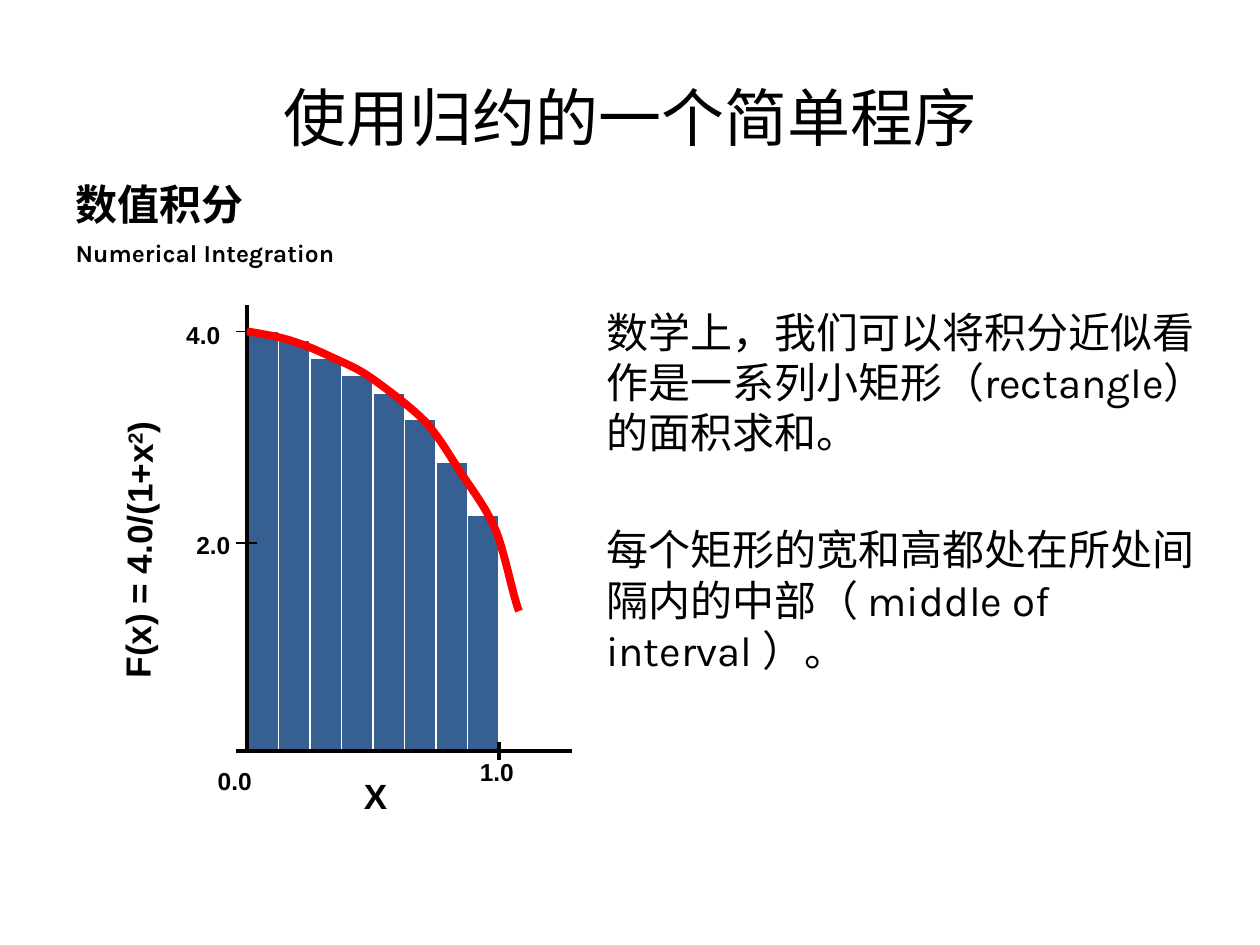
from dataclasses import dataclass

from lxml.etree import SubElement
from pptx import Presentation
from pptx.dml.color import RGBColor
from pptx.enum.shapes import MSO_CONNECTOR, MSO_SHAPE
from pptx.enum.text import MSO_ANCHOR, MSO_AUTO_SIZE, PP_ALIGN
from pptx.oxml.ns import qn
from pptx.util import Inches, Pt


@dataclass(frozen=True)
class Theme:
    ink: RGBColor = RGBColor(0, 0, 0)
    paper: RGBColor = RGBColor(255, 255, 255)
    bar: RGBColor = RGBColor(0x37, 0x60, 0x92)
    curve: RGBColor = RGBColor(255, 0, 0)
    text_font: str = "Karla"
    label_font: str = "Arial"
    title: int = 36
    body: int = 24
    axis: int = 20
    small: int = 14
    hairline: float = 1
    axis_line: float = 2.25
    curve_line: float = 4.5


def apply_format(target, values):
    for name, value in values.items():
        setattr(target, name, value)


def bezier(start, controls, steps=12):
    points = []
    for first, second, end in controls:
        for step in range(1, steps + 1):
            t = step / steps
            weights = ((1 - t) ** 3, 3 * t * (1 - t) ** 2, 3 * t * t * (1 - t), t ** 3)
            corners = (start, first, second, end)
            points.append(tuple(
                sum(w * corner[axis] for w, corner in zip(weights, corners))
                for axis in (0, 1)))
        start = end
    return points


class SlideBuilder:
    def __init__(self, slide, theme):
        self.slide = slide
        self.theme = theme
        self.figure = slide.shapes.add_group_shape().shapes

    def stroke(self, line, color, width):
        line.color.rgb = color
        line.width = Pt(width)

    def add_text(self, paragraph, text, size, font, bold=False):
        run = paragraph.add_run()
        run.text = text
        apply_format(run.font, {"name": font, "size": Pt(size), "bold": bold})
        run.font.color.rgb = self.theme.ink
        return run

    def placeholder(self, index, box, paragraphs, anchor, align=PP_ALIGN.LEFT):
        holder = self.slide.placeholders[index]
        apply_format(holder, dict(zip(("left", "top", "width", "height"), map(Inches, box))))
        frame = holder.text_frame
        apply_format(frame, {"word_wrap": True, "auto_size": MSO_AUTO_SIZE.NONE,
                             "vertical_anchor": anchor})
        for number, (gap, runs) in enumerate(paragraphs):
            paragraph = frame.add_paragraph() if number else frame.paragraphs[0]
            properties = paragraph._p.get_or_add_pPr()
            properties.set("marL", "0")
            properties.set("indent", "0")
            SubElement(properties, qn("a:buNone"))
            apply_format(paragraph, {"alignment": align, "space_before": Pt(gap)})
            for run in runs:
                self.add_text(paragraph, *run)

    def bar(self, left, top, width, bottom):
        bar = self.figure.add_shape(
            MSO_SHAPE.RECTANGLE, *map(Inches, (left, top, width, bottom - top)))
        bar.shadow.inherit = False
        bar.fill.solid()
        bar.fill.fore_color.rgb = self.theme.bar
        self.stroke(bar.line, self.theme.paper, self.theme.hairline)

    def line(self, start, end, width):
        line = self.figure.add_connector(
            MSO_CONNECTOR.STRAIGHT, *map(Inches, (*start, *end)))
        self.stroke(line.line, self.theme.ink, width)
        SubElement(line._element.spPr, qn("a:effectLst"))

    def curve(self, start, controls):
        outline = self.figure.build_freeform(*map(Inches, start))
        outline.add_line_segments(
            [tuple(map(Inches, point)) for point in bezier(start, controls)], close=False)
        curve = outline.convert_to_shape()
        curve.shadow.inherit = False
        curve.fill.background()
        self.stroke(curve.line, self.theme.curve, self.theme.curve_line)

    def label(self, box, text, size, superscript="", tail="", rotation=0):
        label = self.figure.add_textbox(*map(Inches, box))
        label.rotation = rotation
        label.text_frame.word_wrap = True
        paragraph = label.text_frame.paragraphs[0]
        for part in filter(None, (text, superscript, tail)):
            run = self.add_text(paragraph, part, size, self.theme.label_font, True)
            if part == superscript:
                run._r.get_or_add_rPr().set("baseline", "30000")


def main():
    presentation = Presentation()
    apply_format(presentation, {"slide_width": Inches(10), "slide_height": Inches(7.5)})
    theme = Theme()
    builder = SlideBuilder(
        presentation.slides.add_slide(presentation.slide_layouts[3]), theme)

    builder.placeholder(
        0, (0, 0.3, 10, 1.25),
        [(0, [("使用归约的一个简单程序", theme.title, theme.text_font)])],
        MSO_ANCHOR.MIDDLE, PP_ALIGN.CENTER)
    builder.placeholder(
        1, (0.5, 1.47, 4.42, 0.7),
        [(0, [("数值积分", theme.body, theme.text_font, True)]),
         (4.8, [("Numerical Integration", theme.small, theme.text_font, True)])],
        MSO_ANCHOR.BOTTOM)
    builder.placeholder(
        2, (4.71, 2.38, 5.17, 4.91),
        [(0, [("数学上，我们可以将积分近似看作是一系列小矩形（rectangle）的面积求和。",
               theme.body, theme.text_font)]),
         (38, [("每个矩形的宽和高都处在所处间隔内的中部（", theme.body, theme.label_font),
               (" middle of interval ", theme.body, theme.text_font),
               ("）。", theme.body, theme.label_font)])],
        MSO_ANCHOR.TOP)

    origin_x, origin_y, bar_width = 1.96, 5.96, 0.25
    bar_tops = (2.63, 2.7, 2.84, 2.98, 3.12, 3.33, 3.67, 4.09)
    for number, top in enumerate(bar_tops):
        builder.bar(origin_x + number * bar_width, top, bar_width, origin_y)

    builder.line((origin_x, 2.42), (origin_x, origin_y), theme.axis_line)
    for tick_y in (2.63, 4.31):
        builder.line((1.87, tick_y), (2.04, tick_y), theme.hairline)
    builder.line((4.54, origin_y), (1.87, origin_y), theme.axis_line)
    unit_x = origin_x + len(bar_tops) * bar_width
    builder.line((unit_x, 5.89), (unit_x, 6.03), theme.axis_line)

    builder.curve((origin_x, 2.63), [
        ((2.08, 2.65), (2.21, 2.67), (2.33, 2.71)),
        ((2.46, 2.75), (2.6, 2.82), (2.71, 2.87)),
        ((2.82, 2.92), (2.88, 2.95), (2.99, 3.03)),
        ((3.1, 3.11), (3.26, 3.23), (3.37, 3.34)),
        ((3.48, 3.46), (3.56, 3.6), (3.65, 3.74)),
        ((3.75, 3.89), (3.86, 4.03), (3.94, 4.22)),
        ((4.01, 4.4), (4.08, 4.76), (4.12, 4.85)),
    ])

    builder.label((-0.07, 4.1, 2.33, 0.43), "F(x) = 4.0/(1+x", theme.axis,
                  superscript="2", tail=")", rotation=270.6)
    for value, left, top in (("4.0", 1.38, 2.49), ("2.0", 1.46, 4.16),
                             ("1.0", 3.71, 5.96), ("0.0", 1.63, 6.03)):
        builder.label((left, top, 0.5, 0.33), value, theme.small)
    builder.label((2.79, 6.1, 0.5, 0.43), "X", theme.axis)

    presentation.save("out.pptx")


if __name__ == "__main__":
    main()
